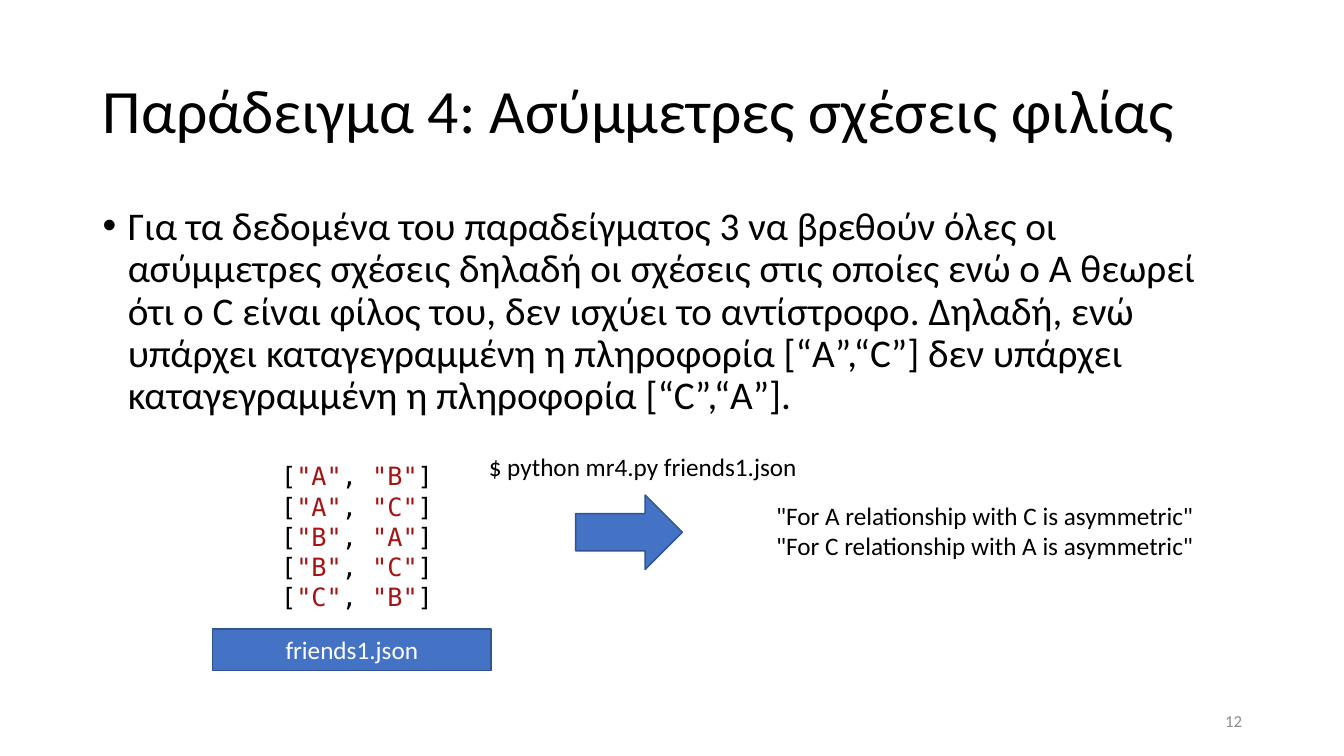
"""Build the slide on asymmetric friendships, from friends1.json to the result."""
from dataclasses import dataclass

from lxml.etree import SubElement
from pptx import Presentation
from pptx.dml.color import RGBColor
from pptx.enum.shapes import MSO_SHAPE
from pptx.enum.text import MSO_ANCHOR, MSO_AUTO_SIZE, PP_ALIGN
from pptx.oxml.ns import qn
from pptx.util import Inches, Pt


@dataclass(frozen=True)
class Theme:
    sans: str = "Calibri"
    mono: str = "DejaVu Sans Mono"
    ink: str = "000000"
    literal: str = "A31515"
    accent: str = "4472C4"
    outline: str = "325491"
    inverse: str = "FFFFFF"
    muted: str = "8C8C8C"
    title: int = 44
    body: int = 28
    label: int = 18
    footer: int = 12


theme = Theme()
deck = Presentation()
deck.slide_width, deck.slide_height = Inches(13.33), Inches(7.5)
slide = deck.slides.add_slide(deck.slide_layouts[5])


def area(left, top, width, height):
    """Turn percentages of the slide into a box."""
    across, down = deck.slide_width / 100, deck.slide_height / 100
    return int(left * across), int(top * down), int(width * across), int(height * down)


def write(part, lines, size, color=theme.ink, font=theme.sans, align=PP_ALIGN.LEFT,
          anchor=MSO_ANCHOR.TOP, wrap=True):
    """Fill a part with lines, each a list of (wording, colour) runs."""
    frame = part.text_frame
    frame.word_wrap, frame.auto_size = wrap, MSO_AUTO_SIZE.NONE
    frame.vertical_anchor = anchor
    for index, pieces in enumerate(lines):
        paragraph = frame.add_paragraph() if index else frame.paragraphs[0]
        paragraph.alignment = align
        for wording, tint in pieces:
            run = paragraph.add_run()
            run.text = wording
            run.font.size, run.font.name = Pt(size), font
            run.font.color.rgb = RGBColor.from_string(tint or color)
    return frame.paragraphs[0]


title = slide.shapes.title
title.left, title.top, title.width, title.height = area(6.9, 5.33, 86.25, 19.33)
heading = write(title, [[("Παράδειγμα 4: Ασύμμετρες σχέσεις φιλίας", None)]],
                theme.title, anchor=MSO_ANCHOR.MIDDLE)
heading.line_spacing = 0.9

task = slide.shapes.add_textbox(*area(6.9, 26.67, 86.25, 63.47))
statement = write(task, [[(
    "Για τα δεδομένα του παραδείγματος 3 να βρεθούν όλες οι ασύμμετρες σχέσεις "
    "δηλαδή οι σχέσεις στις οποίες ενώ ο Α θεωρεί ότι ο C είναι φίλος του, δεν "
    "ισχύει το αντίστροφο. Δηλαδή, ενώ υπάρχει καταγεγραμμένη η πληροφορία "
    "[“A”,“C”] δεν υπάρχει καταγεγραμμένη η πληροφορία [“C”,“A”].", None)]], theme.body)
statement.line_spacing, statement.space_before = 0.9, Pt(10)
bullet = statement._p.get_or_add_pPr()
bullet.set("marL", str(Inches(0.25)))
bullet.set("indent", str(Inches(-0.25)))
SubElement(bullet, qn("a:buFont")).set("typeface", "Arial")
SubElement(bullet, qn("a:buChar")).set("char", "•")

friendships = slide.shapes.add_textbox(*area(20.18, 60.27, 14.03, 21.6))
write(friendships, [
    [("[", None), (f'"{person}"', theme.literal), (",\u00a0", None),
     (f'"{friend}"', theme.literal), ("]", None)]
    for person, friend in ("AB", "AC", "BA", "BC", "CB")
], theme.label, font=theme.mono)

source_file = slide.shapes.add_shape(MSO_SHAPE.RECTANGLE, *area(15.83, 83.2, 20.7, 5.47))
step = slide.shapes.add_shape(MSO_SHAPE.RIGHT_ARROW, *area(42.83, 65.47, 7.95, 9.87))
for block in (source_file, step):
    block.shadow.inherit = False
    block.fill.solid()
    block.fill.fore_color.rgb = RGBColor.from_string(theme.accent)
    block.line.color.rgb = RGBColor.from_string(theme.outline)
    block.line.width = Pt(1)
write(source_file, [[("friends1.json", None)]], theme.label, theme.inverse,
      align=PP_ALIGN.CENTER, anchor=MSO_ANCHOR.MIDDLE)

result = slide.shapes.add_textbox(*area(57.01, 65.47, 36.08, 9.47))
write(result, [
    [(f'"For {person} relationship with {friend} is asymmetric"', None)]
    for person, friend in ("AC", "CA")
], theme.label)

command = slide.shapes.add_textbox(*area(35.63, 59.07, 24.68, 5.33))
write(command, [[("$ python mr4.py friends1.json", None)]], theme.label, wrap=False)

page_number = slide.shapes.add_textbox(*area(70.66, 92.67, 22.5, 5.33))
write(page_number, [[("12", None)]], theme.footer, theme.muted,
      align=PP_ALIGN.RIGHT, anchor=MSO_ANCHOR.MIDDLE)

deck.save("out.pptx")
